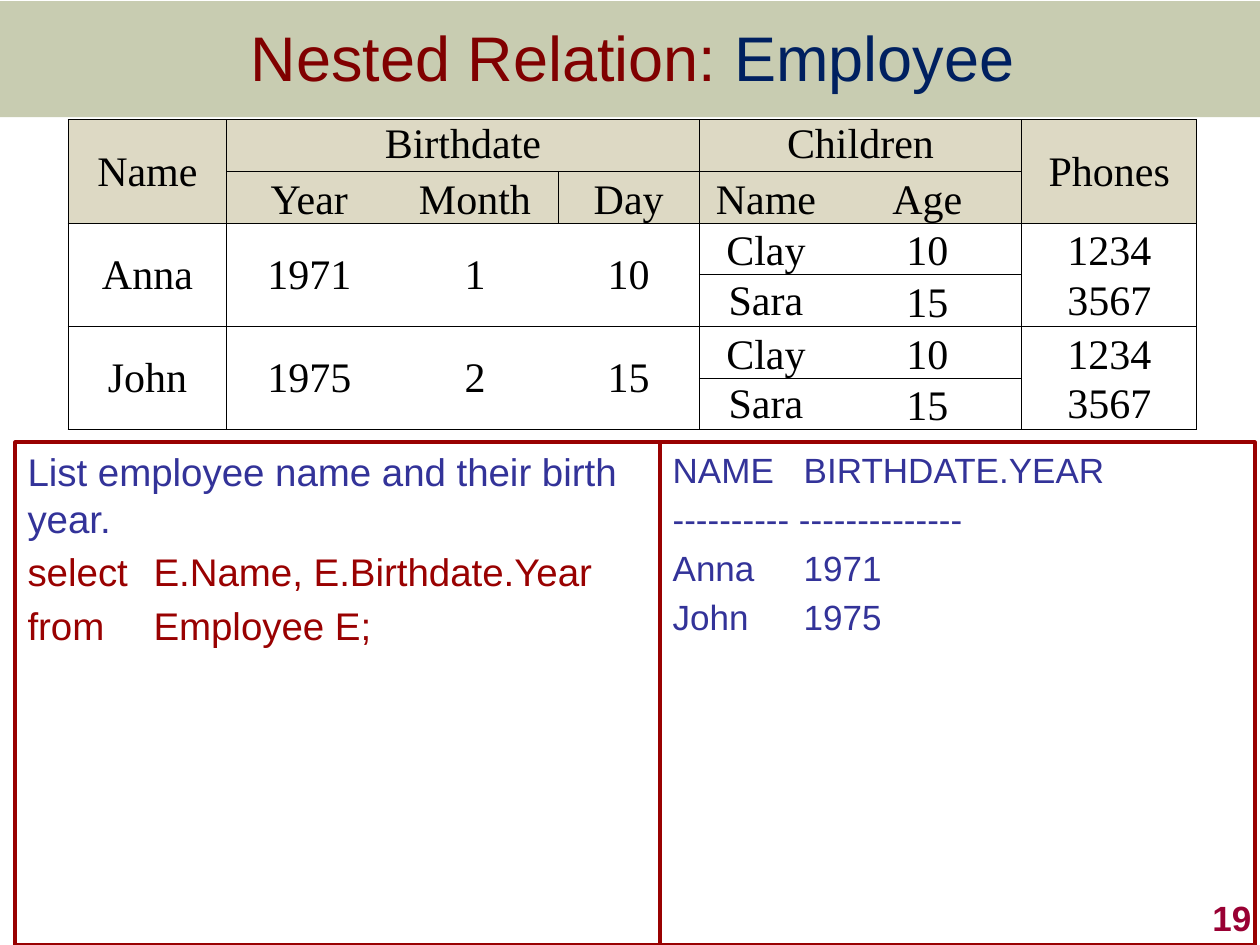
import pptx
import pptx.dml.color
import pptx.enum.shapes
import pptx.enum.text
import pptx.oxml
import pptx.oxml.ns
import pptx.util
from lxml import etree

Inches, Pt = pptx.util.Inches, pptx.util.Pt
RGBColor = pptx.dml.color.RGBColor
ALIGN, ANCHOR = pptx.enum.text.PP_ALIGN, pptx.enum.text.MSO_ANCHOR
RECTANGLE = pptx.enum.shapes.MSO_SHAPE.RECTANGLE
qn = pptx.oxml.ns.qn

OLIVE = RGBColor(0x67, 0x72, 0x28)
MAROON = RGBColor(0x80, 0x00, 0x00)
NAVY = RGBColor(0x00, 0x20, 0x60)
BLACK = RGBColor(0x00, 0x00, 0x00)
WHITE = RGBColor(0xFF, 0xFF, 0xFF)
SAND = RGBColor(0xDD, 0xD9, 0xC4)
RED = RGBColor(0x99, 0x01, 0x01)
INDIGO = RGBColor(0x33, 0x33, 0x99)
CRIMSON = RGBColor(0x99, 0x00, 0x33)

# Content: each paragraph is a list of (text, colour) spans
TITLE = [[("Nested Relation: ", MAROON), ("Employee", NAVY)]]
QUERY = [
    [("List employee name and their birth year.", INDIGO)],
    [("select \tE.Name, E.Birthdate.Year", RED)],
    [("from \tEmployee E;", RED)],
]
RESULT = [[(line, INDIGO)] for line in (
    "NAME\tBIRTHDATE.YEAR", "---------- --------------", "Anna\t1971", "John\t1975")]

# None marks a place covered by a merged cell
HEADER = [
    ["Name", "Birthdate", None, None, "Children", None, "Phones"],
    [None, "Year", "Month", "Day", "Name", "Age", None],
]
EMPLOYEES = [("Anna", "1971", "1", "10"), ("John", "1975", "2", "15")]
CHILDREN = [("Clay", "10", "1234"), ("Sara", "15", "3567")]
COLUMNS = [1.26, 1.31, 1.32, 1.12, 1.06, 1.5, 1.39]
ROW_HEIGHT = 0.41


def write(frame, paragraphs, size, font="Arial", align=ALIGN.LEFT,
          bold=False, gap=0, tab=None):
    frame.word_wrap = True
    for index, spans in enumerate(paragraphs):
        para = frame.paragraphs[0] if index == 0 else frame.add_paragraph()
        para.alignment = align
        para.space_before = Pt(gap if index else 0)
        if tab:
            stops = etree.SubElement(para._p.get_or_add_pPr(), qn("a:tabLst"))
            etree.SubElement(stops, qn("a:tab"), pos=str(Inches(tab)), algn="l")
        for text, colour in spans:
            span = para.add_run()
            span.text = text
            span.font.name, span.font.size = font, Pt(size)
            span.font.bold, span.font.color.rgb = bold, colour


def add_text(page, place, paragraphs, anchor, **style):
    box = page.shapes.add_textbox(*map(Inches, place))
    box.text_frame.vertical_anchor = anchor
    write(box.text_frame, paragraphs, **style)


def add_panel(page, place, paragraphs, **style):
    box = page.shapes.add_shape(RECTANGLE, *map(Inches, place))
    box.shadow.inherit = False
    box.fill.background()
    box.line.color.rgb, box.line.width = RED, Pt(2)
    box.text_frame.vertical_anchor = ANCHOR.TOP
    box.text_frame.margin_right = 0
    write(box.text_frame, paragraphs, **style)


def set_borders(cell, open_sides):
    properties = cell._tc.get_or_add_tcPr()
    for index, side in enumerate("LRTB"):
        line = etree.Element(qn(f"a:ln{side}"), w=str(Pt(0.5)))
        if side in open_sides:
            etree.SubElement(line, qn("a:noFill"))
        else:
            fill = etree.SubElement(line, qn("a:solidFill"))
            etree.SubElement(fill, qn("a:srgbClr"), val=str(BLACK))
        properties.insert(index, line)


def find_open_sides(row, first, last):
    """Values of one group stand side by side with no line between them."""
    def is_open_after(column):
        return column in (1, 4) or (column == 2 and row >= 2)

    sides = "L" if is_open_after(first - 1) else ""
    sides += "R" if is_open_after(last) else ""
    if first == len(COLUMNS) - 1 and row >= 2:
        sides += "B" if row % 2 == 0 else "T"
    return sides


def add_relation(page):
    rows = HEADER + [
        [*(employee if index == 0 else [None] * 4), *child]
        for employee in EMPLOYEES for index, child in enumerate(CHILDREN)]
    table = page.shapes.add_table(
        len(rows), len(COLUMNS), Inches(0.54), Inches(0.95),
        Inches(sum(COLUMNS)), Inches(ROW_HEIGHT * len(rows))).table
    table.first_row = table.horz_banding = False
    for column, width in zip(table.columns, COLUMNS):
        column.width = Inches(width)
    for row in table.rows:
        row.height = Inches(ROW_HEIGHT)

    # Merge the group headings, then the cells two rows tall
    table.cell(0, 1).merge(table.cell(0, 3))
    table.cell(0, 4).merge(table.cell(0, 5))
    for top, columns in ((0, (0, 6)), (2, range(4)), (4, range(4))):
        for column in columns:
            table.cell(top, column).merge(table.cell(top + 1, column))

    for r, values in enumerate(rows):
        for c, text in enumerate(values):
            cell = table.cell(r, c)
            cell.fill.solid()
            cell.fill.fore_color.rgb = SAND if r < 2 else WHITE
            if text is None:
                continue
            cell.margin_left = cell.margin_right = cell.margin_top = Inches(0.01)
            cell.margin_bottom = 0
            if cell.span_height > 1 or text in ("Sara", "3567"):
                cell.vertical_anchor = ANCHOR.MIDDLE
            else:
                cell.vertical_anchor = ANCHOR.BOTTOM if r else ANCHOR.TOP
            write(cell.text_frame, [[(text, BLACK)]], size=24,
                  font="Times New Roman", align=ALIGN.CENTER)
            set_borders(cell, find_open_sides(r, c, c + cell.span_width - 1))


def main():
    deck = pptx.Presentation()
    deck.slide_width, deck.slide_height = Inches(10), Inches(7.5)
    page = deck.slides.add_slide(deck.slide_layouts[6])

    # Title band
    band = page.shapes.add_shape(RECTANGLE, 0, Inches(0.01), Inches(10), Inches(0.92))
    band.shadow.inherit = False
    band.line.fill.background()
    band.fill.solid()
    band.fill.fore_color.rgb = OLIVE
    tint = band._element.spPr.find(".//" + qn("a:srgbClr"))
    etree.SubElement(tint, qn("a:alpha"), val="36000")
    add_text(page, (0.02, 0.04, 10, 0.82), TITLE, ANCHOR.MIDDLE,
             size=36, align=ALIGN.CENTER)

    add_relation(page)

    # Page number, query and its result
    add_text(page, (7.95, 7, 2.08, 0.5), [[("19", CRIMSON)]], ANCHOR.BOTTOM,
             size=20, align=ALIGN.RIGHT, bold=True)
    add_panel(page, (0.12, 3.51, 5.12, 3.99), QUERY, size=22, gap=4.4)
    add_panel(page, (5.24, 3.51, 4.72, 3.99), RESULT, size=20, gap=4, tab=1.04)

    deck.save("out.pptx")


if __name__ == "__main__":
    main()
